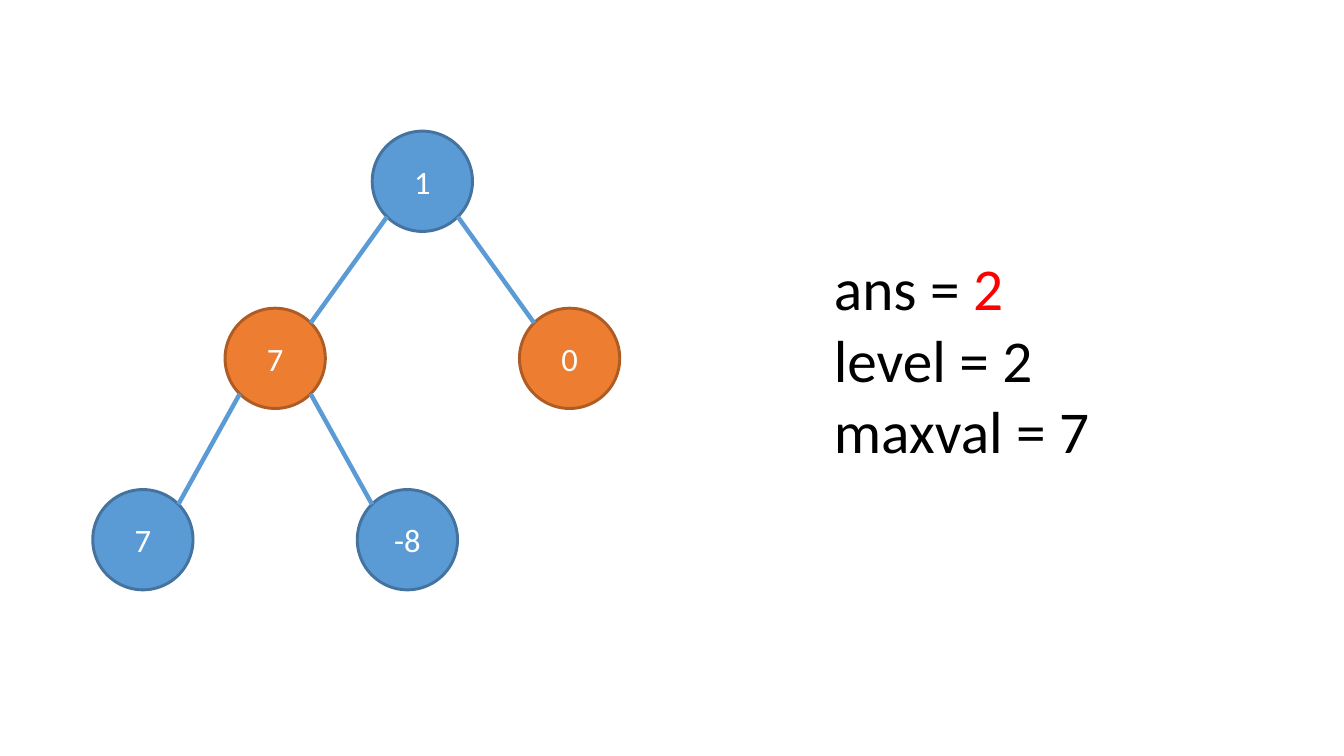
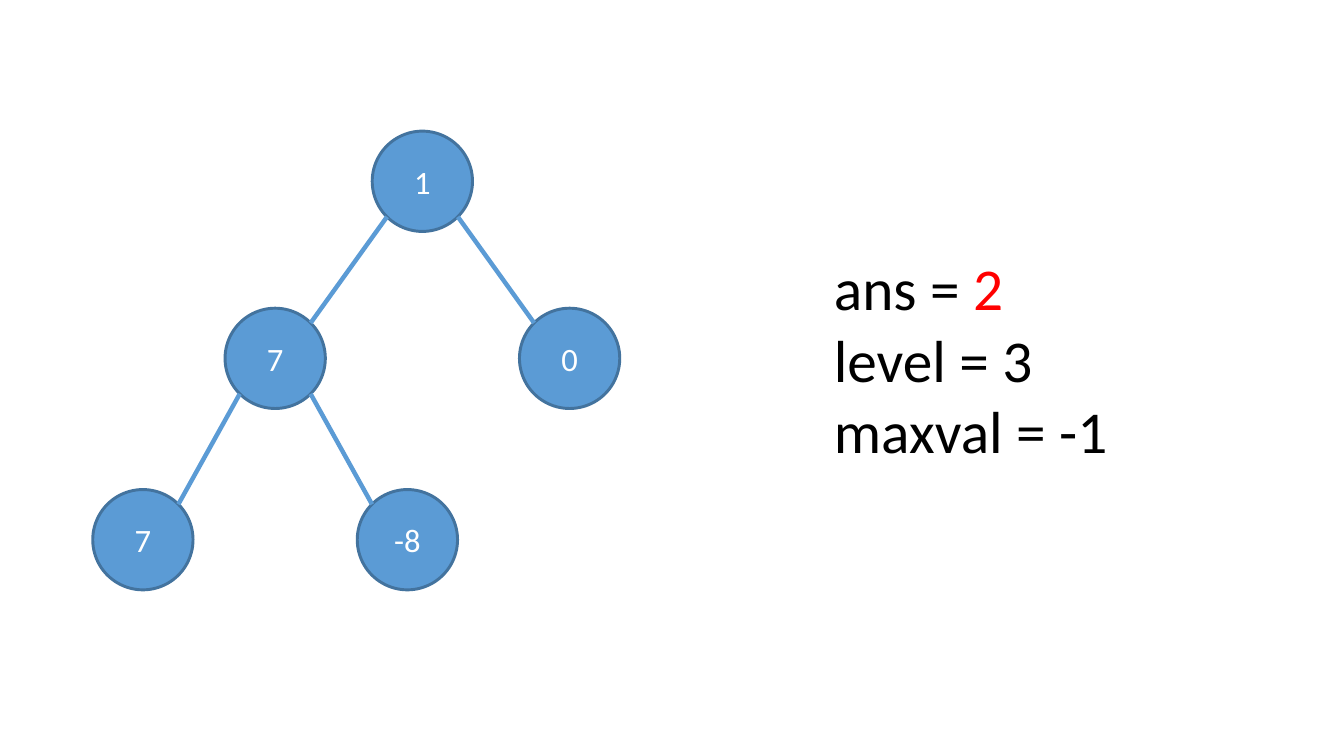
from math import sqrt
from pptx import Presentation
from pptx.dml.color import RGBColor
from pptx.enum.shapes import MSO_CONNECTOR, MSO_SHAPE
from pptx.enum.text import MSO_ANCHOR, MSO_AUTO_SIZE, PP_ALIGN
from pptx.oxml.ns import qn
from pptx.util import Cm, Inches, Pt
from lxml import etree

OVAL, STRAIGHT = MSO_SHAPE.OVAL, MSO_CONNECTOR.STRAIGHT
MIDDLE, CENTER = MSO_ANCHOR.MIDDLE, PP_ALIGN.CENTER
GROW = MSO_AUTO_SIZE.SHAPE_TO_FIT_TEXT
BLUE = RGBColor(0x5B, 0x9B, 0xD5)
BLUE_EDGE = RGBColor(0x43, 0x73, 0x9E)
ORANGE = RGBColor(0xED, 0x7D, 0x31)
ORANGE_EDGE = RGBColor(0xAF, 0x5C, 0x24)
WHITE = RGBColor(0xFF, 0xFF, 0xFF)
BLACK = RGBColor(0, 0, 0)
RED = RGBColor(0xFF, 0, 0)

DIAMETER = 0.47
RADIUS = DIAMETER / 2
DIAGONAL = RADIUS / sqrt(2)
LEVEL_Y = [0.85, 1.68, 2.53]
NODES = [("1", 1.98, 0), ("7", 1.29, 1), ("0", 2.67, 1), ("7", 0.67, 2), ("-8", 1.91, 2)]
EDGES = [(0, 1), (0, 2), (1, 3), (1, 4)]
STEPS = [
    {"active_level": 1, "ans": 2, "level": 2, "maxval": 7},
    {"active_level": None, "ans": 2, "level": 3, "maxval": -1},
]


def add_run(p, text, size, color):
    r = p.add_run()
    r.text = text
    for name, value in {"name": "Calibri", "size": Pt(size)}.items():
        setattr(r.font, name, value)
    r.font.color.rgb = color


prs = Presentation()
prs.slide_width, prs.slide_height = Cm(16), Cm(9)

for step in STEPS:
    s = prs.slides.add_slide(prs.slide_layouts[6])

    for value, x, level in NODES:
        active = level == step["active_level"]
        sp = s.shapes.add_shape(OVAL, Inches(x - RADIUS), Inches(LEVEL_Y[level] - RADIUS),
                                Inches(DIAMETER), Inches(DIAMETER))
        sp.shadow.inherit = False
        sp.fill.solid()
        sp.fill.fore_color.rgb = ORANGE if active else BLUE
        sp.line.color.rgb = ORANGE_EDGE if active else BLUE_EDGE
        sp.line.width = Pt(1)
        tf = sp.text_frame
        for name, setting in {"margin_left": 0, "margin_right": 0, "margin_top": 0,
                              "margin_bottom": 0, "vertical_anchor": MIDDLE}.items():
            setattr(tf, name, setting)
        p = tf.paragraphs[0]
        p.alignment = CENTER
        add_run(p, value, 11, WHITE)

    for parent, child in EDGES:
        _, x1, level1 = NODES[parent]
        _, x2, level2 = NODES[child]
        dx = DIAGONAL if x2 > x1 else -DIAGONAL
        edge = s.shapes.add_connector(STRAIGHT, Inches(x1 + dx), Inches(LEVEL_Y[level1] + DIAGONAL),
                                      Inches(x2 - dx), Inches(LEVEL_Y[level2] - DIAGONAL))
        edge.line.color.rgb = BLUE
        edge.line.width = Pt(1.5)
        etree.SubElement(edge._element.spPr, qn("a:effectLst"))

    tf = s.shapes.add_textbox(Inches(3.81), Inches(1.13), Inches(1.58), Inches(1.11)).text_frame
    tf.word_wrap = True
    tf.auto_size = GROW
    p = tf.paragraphs[0]
    add_run(p, "ans = ", 20, BLACK)
    add_run(p, str(step["ans"]), 20, RED)
    for name in ["level", "maxval"]:
        add_run(tf.add_paragraph(), f"{name} = {step[name]}", 20, BLACK)

prs.save("out.pptx")
